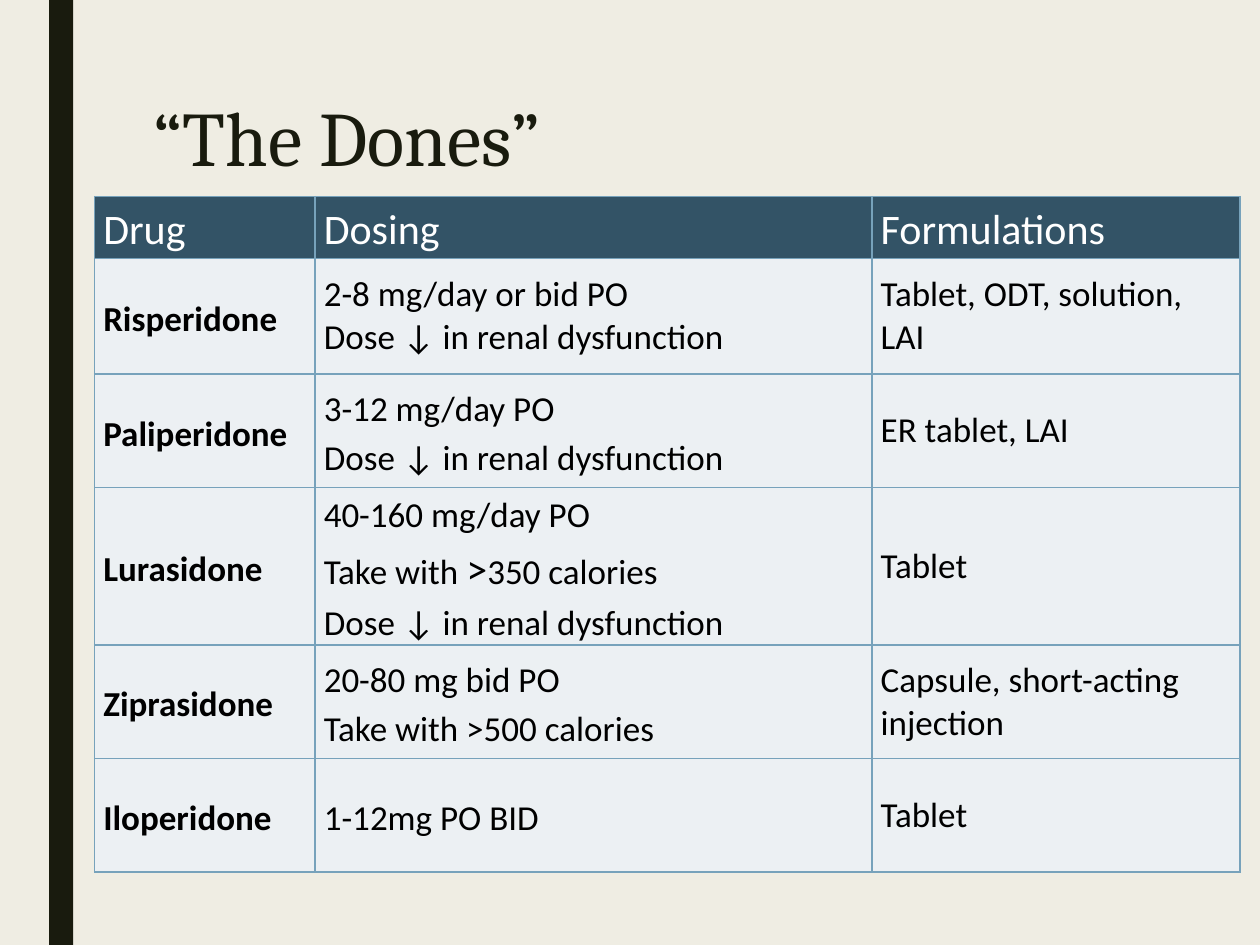
from dataclasses import dataclass
from typing import NamedTuple

from lxml.etree import SubElement
from pptx import Presentation
from pptx.dml.color import RGBColor
from pptx.enum.shapes import MSO_SHAPE as Shape
from pptx.enum.text import MSO_ANCHOR as Anchor, PP_ALIGN as Align
from pptx.oxml.ns import qn
from pptx.util import Inches, Pt


@dataclass(frozen=True)
class Theme:
    background: str = "EFEDE3"
    dark: str = "191B0E"
    header_fill: str = "335366"
    header_text: str = "FFFFFF"
    body_fill: str = "ECF0F3"
    body_text: str = "000000"
    border: str = "77A2BB"
    title_font: str = "Cambria"
    body_font: str = "Calibri"
    title_size: int = 44
    header_size: int = 24
    body_size: int = 20
    border_width: int = 1


class Run(NamedTuple):
    text: str
    size: int


class Drug(NamedTuple):
    name: str
    dosing: list[list[Run]]
    formulations: str
    dosing_spacing: float = 1.15


THEME = Theme()
HEADERS = ["Drug", "Dosing", "Formulations"]
COLUMN_WIDTHS = [1.75, 4.42, 2.92]
ROW_HEIGHTS = [0.49, 0.92] + [0.9] * 4


def body_line(text: str) -> list[Run]:
    return [Run(text, THEME.body_size)]


REDUCE_DOSE = body_line("Dose ↓ in renal dysfunction")
DRUGS = [
    Drug("Risperidone", [body_line("2-8 mg/day or bid PO"), REDUCE_DOSE],
         "Tablet, ODT, solution, LAI", 1.0),
    Drug("Paliperidone", [body_line("3-12 mg/day PO"), REDUCE_DOSE], "ER tablet, LAI"),
    Drug("Lurasidone",
         [body_line("40-160 mg/day PO"),
          [Run("Take with ", THEME.body_size), Run(">", THEME.header_size),
           Run("350 calories", THEME.body_size)],
          REDUCE_DOSE],
         "Tablet"),
    Drug("Ziprasidone", [body_line("20-80 mg bid PO"), body_line("Take with >500 calories")],
         "Capsule, short-acting injection"),
    Drug("Iloperidone", [body_line("1-12mg PO BID")], "Tablet"),
]


def write_text(frame, lines: list[list[Run]], *, color: str, font: str = THEME.body_font,
               bold: bool = False, spacing: float = 1.0) -> None:
    for index, line in enumerate(lines):
        paragraph = frame.add_paragraph() if index else frame.paragraphs[0]
        paragraph.alignment = Align.LEFT
        paragraph.line_spacing = spacing
        for text, size in line:
            run = paragraph.add_run()
            run.text = text
            run.font.name = font
            run.font.size = Pt(size)
            run.font.bold = bold
            run.font.color.rgb = RGBColor.from_string(color)


def add_borders(cell) -> None:
    properties = cell._tc.get_or_add_tcPr()
    for side in ("a:lnL", "a:lnR", "a:lnT", "a:lnB"):
        line = SubElement(properties, qn(side), w=str(Pt(THEME.border_width)))
        SubElement(SubElement(line, qn("a:solidFill")), qn("a:srgbClr"), val=THEME.border)


def format_cell(cell, fill: str, anchor: Anchor) -> None:
    cell.margin_left = cell.margin_right = Inches(0.07)
    cell.margin_top = cell.margin_bottom = 0
    cell.vertical_anchor = anchor
    add_borders(cell)
    cell.fill.solid()
    cell.fill.fore_color.rgb = RGBColor.from_string(fill)


def add_side_bar(slide) -> None:
    bar = slide.shapes.add_shape(Shape.RECTANGLE, Inches(0.39), 0, Inches(0.19), Inches(7.5))
    bar.shadow.inherit = False
    bar.fill.solid()
    bar.fill.fore_color.rgb = RGBColor.from_string(THEME.dark)
    bar.line.fill.background()


def add_title(slide, text: str) -> None:
    title = slide.shapes.title
    title.left, title.top = Inches(1.12), Inches(0.75)
    title.width, title.height = Inches(7.88), Inches(1.62)
    title.text_frame.vertical_anchor = Anchor.TOP
    write_text(title.text_frame, [[Run(text, THEME.title_size)]], color=THEME.dark,
               font=THEME.title_font, spacing=0.89)


def add_drug_table(slide) -> None:
    table = slide.shapes.add_table(
        len(ROW_HEIGHTS), len(COLUMN_WIDTHS), Inches(0.75), Inches(1.56),
        Inches(sum(COLUMN_WIDTHS)), Inches(sum(ROW_HEIGHTS))).table
    for column, width in zip(table.columns, COLUMN_WIDTHS):
        column.width = Inches(width)
    for row, height in zip(table.rows, ROW_HEIGHTS):
        row.height = Inches(height)
    for column, header in enumerate(HEADERS):
        cell = table.cell(0, column)
        format_cell(cell, THEME.header_fill, Anchor.TOP)
        write_text(cell.text_frame, [[Run(header, THEME.header_size)]],
                   color=THEME.header_text, spacing=1.15)
    for row, drug in enumerate(DRUGS, start=1):
        contents = [
            ([body_line(drug.name)], True, 1.15),
            (drug.dosing, False, drug.dosing_spacing),
            ([body_line(drug.formulations)], False, 1.0),
        ]
        for column, (lines, bold, spacing) in enumerate(contents):
            cell = table.cell(row, column)
            format_cell(cell, THEME.body_fill, Anchor.MIDDLE)
            write_text(cell.text_frame, lines, color=THEME.body_text, bold=bold, spacing=spacing)


def main() -> None:
    presentation = Presentation()
    presentation.slide_width, presentation.slide_height = Inches(10), Inches(7.5)
    slide = presentation.slides.add_slide(presentation.slide_layouts[5])
    slide.background.fill.solid()
    slide.background.fill.fore_color.rgb = RGBColor.from_string(THEME.background)
    add_side_bar(slide)
    add_title(slide, "“The Dones”")
    add_drug_table(slide)
    presentation.save("out.pptx")


if __name__ == "__main__":
    main()
